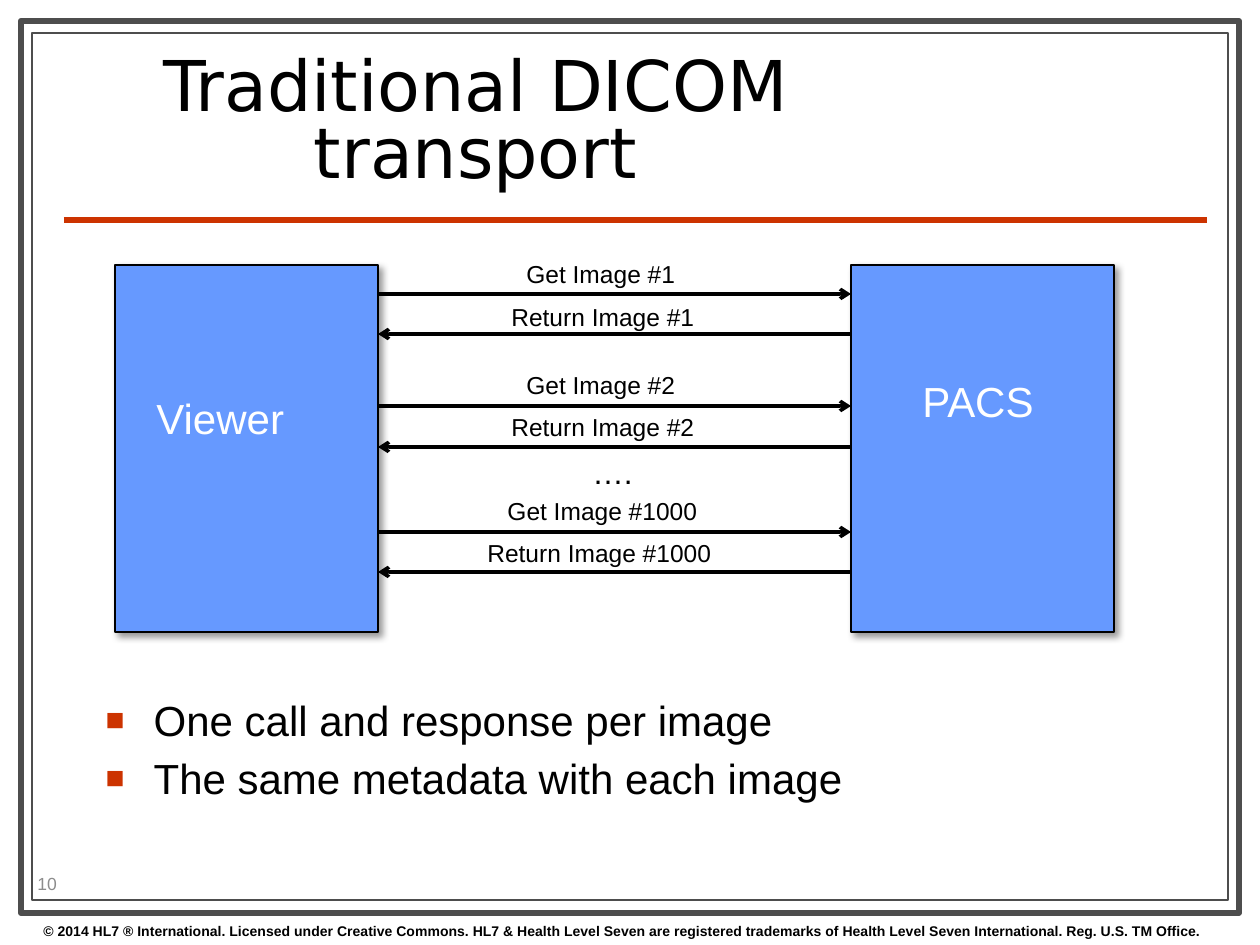
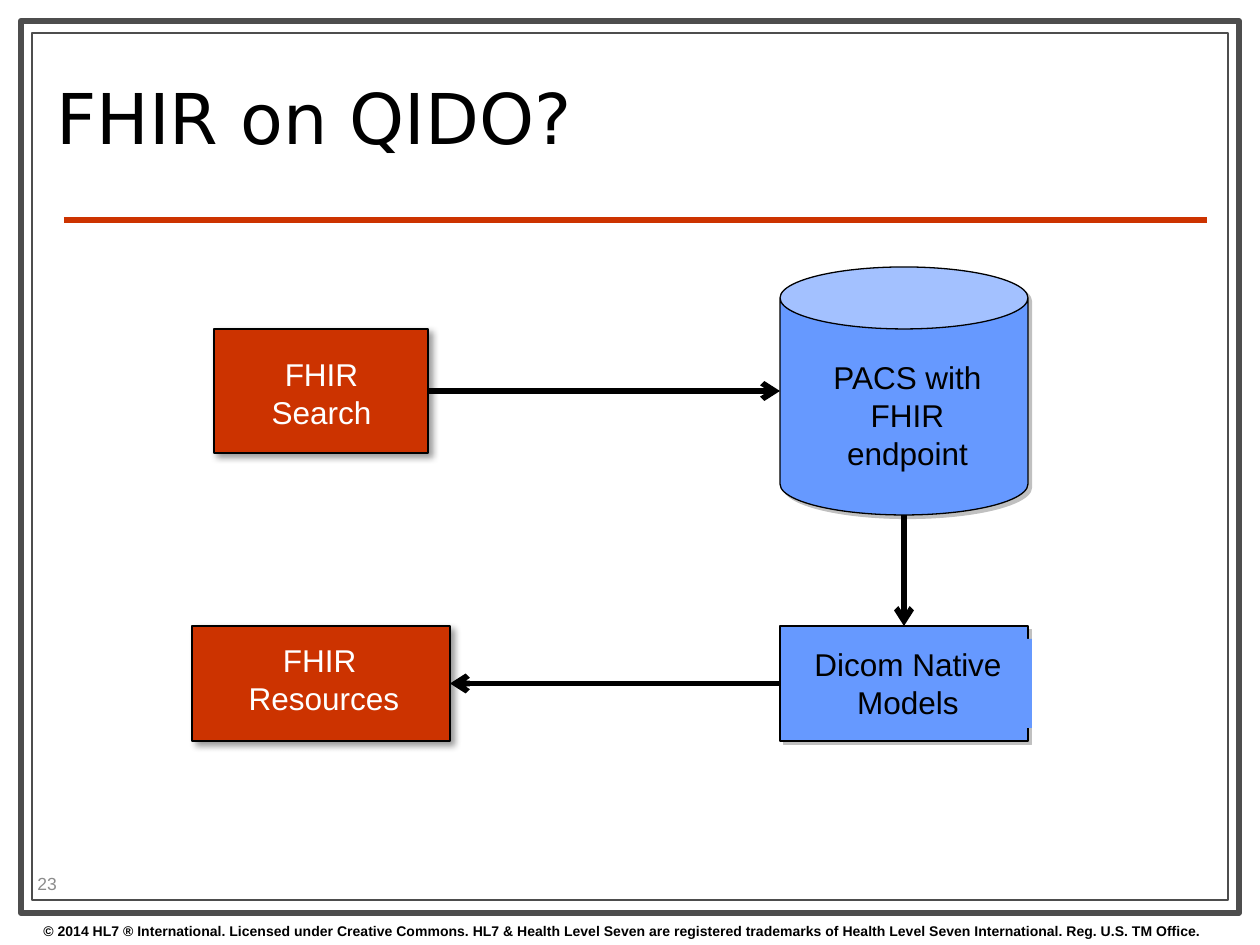
import pptx
import pptx.util
import pptx.dml.color
import pptx.enum.shapes
import pptx.enum.text
import pptx.oxml
import pptx.oxml.ns
from lxml import etree

SHAPE = pptx.enum.shapes.MSO_SHAPE
ALIGN = pptx.enum.text.PP_ALIGN
ANCHOR = pptx.enum.text.MSO_ANCHOR
STRAIGHT = pptx.enum.shapes.MSO_CONNECTOR.STRAIGHT

EMU_PER_PX = 914400 / 126
BLACK, WHITE, GREY, PAGE_GREY = "000000", "FFFFFF", "4D4D4D", "8C8C8C"
RED, BLUE, SILVER = "CC3300", "6699FF", "C0C0C0"
BODY_FONT, TITLE_FONT = "Arial", "DejaVu Sans"
SOFT_SHADOW = dict(color=BLACK, opacity=40, blur=4, distance=3)
HARD_SHADOW = dict(color=SILVER, opacity=100, blur=0, distance=2.8)

COPYRIGHT = ("© 2014 HL7 ® International. Licensed under Creative Commons. HL7 & Health Level Seven "
             "are registered trademarks of Health Level Seven International. Reg. U.S. TM Office.")
FRAMES = [((21, 21, 1218, 892), 3.5), ((32, 33, 1196, 867), 0.75)]

TRANSPORT = dict(
    title="Traditional DICOM transport", title_width=863, align=ALIGN.CENTER, page="10",
    bullets=["One call and response per image", "The same metadata with each image"],
    systems=[("Viewer", 115, (144, 386, 173, 63)), ("PACS", 851, (910, 369, 155, 63))],
    system_size=(263, 367), system_top=265,
    messages=[
        ("Get Image #1", (514, 253, 199, 43), 294),
        ("Return Image #1", (499, 296, 215, 43), 334),
        ("Get Image #2", (514, 364, 199, 43), 406),
        ("Return Image #2", (499, 406, 215, 43), 447),
        ("Get Image #1000", (495, 490, 223, 43), 532),
        ("Return Image #1000", (475, 532, 263, 43), 572),
    ],
    ellipsis=("….", (580, 447, 69, 50)),
)

QIDO = dict(
    title="FHIR on QIDO?", title_width=903, align=ALIGN.LEFT, page="23",
    nodes={
        "pacs": (SHAPE.CAN, (780, 267, 248, 248), BLUE, HARD_SHADOW),
        "models": (SHAPE.RECTANGLE, (780, 626, 248, 115), BLUE, HARD_SHADOW),
        "resources": (SHAPE.RECTANGLE, (192, 626, 258, 115), RED, SOFT_SHADOW),
        "search": (SHAPE.RECTANGLE, (214, 329, 214, 124), RED, SOFT_SHADOW),
    },
    labels=[
        ("FHIR Search", (237, 349, 169, 89), WHITE, None),
        ("PACS with FHIR endpoint", (813, 352, 189, 127), BLACK, None),
        ("Dicom Native Models", (784, 639, 248, 89), BLACK, BLUE),
        ("FHIR \vResources", (195, 635, 258, 89), WHITE, None),
    ],
    arrows=[("search", 3, "pacs", 1), ("pacs", 2, "models", 0), ("models", 1, "resources", 3)],
)


def px(length):
    return pptx.util.Emu(round(length * EMU_PER_PX))


def color(hex_value):
    return pptx.dml.color.RGBColor.from_string(hex_value)


def apply(target, values):
    for name, value in values.items():
        setattr(target, name, value)


def place(shape, box):
    apply(shape, dict(zip(("left", "top", "width", "height"), map(px, box))))


def write(paragraph, text, size, ink=BLACK, font=BODY_FONT, **values):
    paragraph.text = text
    for run in paragraph.runs:
        apply(run.font, dict(name=font, size=pptx.util.Pt(size), **values))
        run.font.color.rgb = color(ink)


def add_label(slide, text, box, size, ink=BLACK, align=ALIGN.LEFT, fill=None,
              anchor=ANCHOR.TOP, **values):
    label = slide.shapes.add_textbox(*map(px, box))
    apply(label.text_frame, dict(word_wrap=True, vertical_anchor=anchor))
    if fill:
        label.fill.solid()
        label.fill.fore_color.rgb = color(fill)
    paragraph = label.text_frame.paragraphs[0]
    paragraph.alignment = align
    write(paragraph, text, size, ink, **values)


def set_line(line, ink, width):
    line.color.rgb = color(ink)
    line.width = pptx.util.Pt(width)


def add_block(slide, kind, box, fill=None, ink=BLACK, width=0.75, shadow=None):
    block = slide.shapes.add_shape(kind, *map(px, box))
    block.shadow.inherit = False
    if fill:
        block.fill.solid()
        block.fill.fore_color.rgb = color(fill)
    else:
        block.fill.background()
    set_line(block.line, ink, width)
    if shadow:
        effects = block._element.spPr.find(pptx.oxml.ns.qn("a:effectLst"))
        outer = etree.SubElement(
            effects, pptx.oxml.ns.qn("a:outerShdw"), dir="2700000", algn="tl", rotWithShape="0",
            blurRad=str(pptx.util.Pt(shadow["blur"])), dist=str(pptx.util.Pt(shadow["distance"])))
        tint = etree.SubElement(outer, pptx.oxml.ns.qn("a:srgbClr"), val=shadow["color"])
        etree.SubElement(tint, pptx.oxml.ns.qn("a:alpha"), val=str(shadow["opacity"] * 1000))
    return block


def add_line(slide, start, end, ink, width, arrow=True):
    connector = slide.shapes.add_connector(STRAIGHT, *map(px, start + end))
    set_line(connector.line, ink, width)
    properties = connector._element.spPr
    if arrow:
        outline = properties.find(pptx.oxml.ns.qn("a:ln"))
        etree.SubElement(outline, pptx.oxml.ns.qn("a:tailEnd"), type="arrow")
    etree.SubElement(properties, pptx.oxml.ns.qn("a:effectLst"))
    return connector


def side_middle(box, side):
    left, top, width, height = box
    return [(left + width / 2, top), (left, top + height / 2),
            (left + width / 2, top + height), (left + width, top + height / 2)][side]


def add_slide(presentation, content):
    layout = presentation.slide_layouts[1 if "bullets" in content else 5]
    slide = presentation.slides.add_slide(layout)
    for box, width in FRAMES:
        add_block(slide, SHAPE.RECTANGLE, box, ink=GREY, width=width)
    add_line(slide, (64, 220), (1207, 220), RED, 3, arrow=False)
    add_label(slide, COPYRIGHT, (31, 916, 1260, 29), 8, bold=True)
    add_label(slide, content["page"], (25, 868, 100, 30), 10, PAGE_GREY, anchor=ANCHOR.MIDDLE)
    title = slide.shapes.title
    place(title, (44, 45, content["title_width"], 159))
    apply(title.text_frame, dict(auto_size=pptx.enum.text.MSO_AUTO_SIZE.NONE, word_wrap=True,
                                 vertical_anchor=ANCHOR.MIDDLE))
    paragraph = title.text_frame.paragraphs[0]
    apply(paragraph, dict(alignment=content["align"], line_spacing=0.8))
    write(paragraph, content["title"], 40, font=TITLE_FONT)
    return slide


def add_bullets(slide, bullets):
    body = slide.placeholders[1]
    place(body, (93, 680, 974, 69))
    frame = body.text_frame
    apply(frame, dict(auto_size=pptx.enum.text.MSO_AUTO_SIZE.NONE, word_wrap=True,
                      vertical_anchor=ANCHOR.TOP, margin_top=px(14)))
    for index, text in enumerate(bullets):
        paragraph = frame.add_paragraph() if index else frame.paragraphs[0]
        paragraph.space_before = pptx.util.Pt(4.8 if index else 0)
        properties = paragraph._p.get_or_add_pPr()
        apply_indent = dict(marL=px(48), indent=px(-48))
        for name, value in apply_indent.items():
            properties.set(name, str(value))
        bullet_color = etree.SubElement(properties, pptx.oxml.ns.qn("a:buClr"))
        etree.SubElement(bullet_color, pptx.oxml.ns.qn("a:srgbClr"), val=RED)
        etree.SubElement(properties, pptx.oxml.ns.qn("a:buSzPct"), val="75000")
        etree.SubElement(properties, pptx.oxml.ns.qn("a:buFont"), typeface=BODY_FONT)
        etree.SubElement(properties, pptx.oxml.ns.qn("a:buChar"), char="■")
        write(paragraph, text, 24)


def build_transport(presentation, content):
    slide = add_slide(presentation, content)
    width, height = content["system_size"]
    for name, left, label_box in content["systems"]:
        add_block(slide, SHAPE.RECTANGLE, (left, content["system_top"], width, height),
                  BLUE, shadow=SOFT_SHADOW)
        add_label(slide, name, label_box, 24, WHITE)
    viewer_edge = content["systems"][0][1] + width
    pacs_edge = content["systems"][1][1]
    for index, (text, box, y) in enumerate(content["messages"]):
        ends = [(viewer_edge, y), (pacs_edge, y)]
        start, end = reversed(ends) if index % 2 else ends
        add_line(slide, start, end, BLACK, 2)
        add_label(slide, text, box, 14)
    add_label(slide, *content["ellipsis"], 18)
    add_bullets(slide, content["bullets"])


def build_qido(presentation, content):
    slide = add_slide(presentation, content)
    nodes = content["nodes"]
    blocks = {name: add_block(slide, kind, box, fill, shadow=shadow)
              for name, (kind, box, fill, shadow) in nodes.items()}
    for text, box, ink, fill in content["labels"]:
        add_label(slide, text, box, 18, ink, ALIGN.CENTER, fill)
    for source, source_side, target, target_side in content["arrows"]:
        connector = add_line(slide, side_middle(nodes[source][1], source_side),
                             side_middle(nodes[target][1], target_side), BLACK, 3.25)
        if nodes[source][0] == SHAPE.RECTANGLE:
            connector.begin_connect(blocks[source], source_side)
        if nodes[target][0] == SHAPE.RECTANGLE:
            connector.end_connect(blocks[target], target_side)


def main():
    presentation = pptx.Presentation()
    apply(presentation, dict(slide_width=px(1260), slide_height=px(945)))
    build_transport(presentation, TRANSPORT)
    build_qido(presentation, QIDO)
    presentation.save("out.pptx")


if __name__ == "__main__":
    main()
